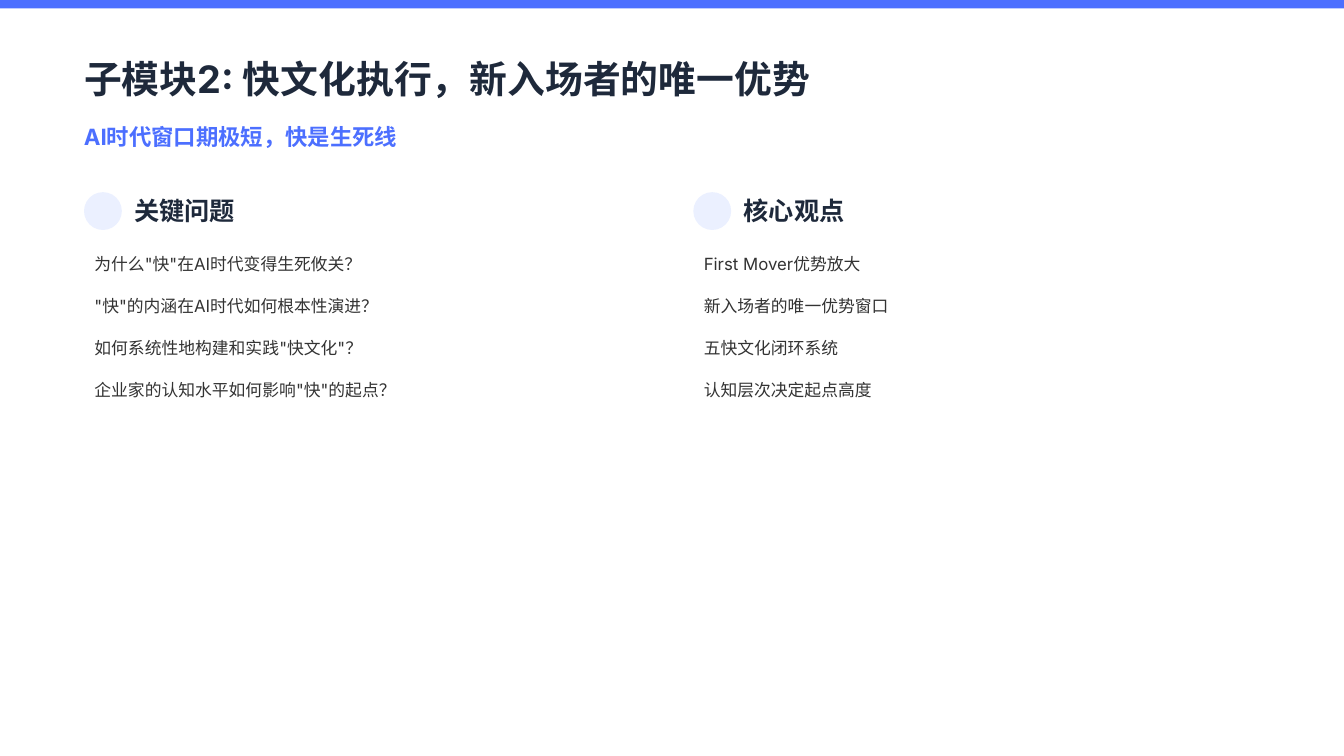
from pptx import Presentation
from pptx.dml.color import RGBColor
from pptx.enum.shapes import MSO_SHAPE as Kind
from pptx.enum.text import MSO_ANCHOR as Anchor, MSO_AUTO_SIZE as Fit, PP_ALIGN as Align
from pptx.util import Pt

NAVY, BLUE, PALE, GRAY = "1E293B", "4C6FFF", "EBF0FF", "333333"


def paint(fill, tint):
    fill.solid()
    fill.fore_color.rgb = RGBColor.from_string(tint)


def write(box, area, text, size, tint, bold=False):
    """Place a text shape at area and fill it with one formatted run."""
    box.left, box.top, box.width, box.height = map(Pt, area)
    frame = box.text_frame
    frame.word_wrap = True
    frame.auto_size = Fit.NONE
    frame.vertical_anchor = Anchor.MIDDLE
    frame.margin_left = frame.margin_right = 0
    frame.margin_top = frame.margin_bottom = 0
    para = frame.paragraphs[0]
    para.alignment = Align.LEFT
    run = para.add_run()
    run.text = text
    run.font.name = "Inter"
    run.font.size = Pt(size)
    run.font.bold = bold
    paint(run.font.fill, tint)


deck = Presentation()
deck.slide_width, deck.slide_height = Pt(960), Pt(540)
slide = deck.slides.add_slide(deck.slide_layouts[5])
shapes = slide.shapes
paint(slide.background.fill, "FFFFFF")

# Title and subtitle
write(shapes.title, (60, 39.75, 539.5, 33), "子模块2: 快文化执行，新入场者的唯一优势", 27, NAVY, True)
write(shapes.add_textbox(0, 0, 0, 0), (60, 87.75, 244, 19.5),
      "AI时代窗口期极短，快是生死线", 16, BLUE, True)

# Two columns: left edge, heading, items with their widths
columns = [
    (60, "关键问题", [
        ('为什么"快"在AI时代变得生死攸关？', 200),
        ('"快"的内涵在AI时代如何根本性演进？', 212.5),
        ('如何系统性地构建和实践"快文化"？', 200),
        ('企业家的认知水平如何影响"快"的起点？', 224.5)]),
    (495.25, "核心观点", [
        ("First Mover优势放大", 121.5),
        ("新入场者的唯一优势窗口", 142),
        ("五快文化闭环系统", 106),
        ("认知层次决定起点高度", 129.5)]),
]

# Top bar and heading dots
marks = [(Kind.RECTANGLE, (0, 0, 960, 6), BLUE)]
marks += [(Kind.OVAL, (left, 137.25, 27, 27), PALE) for left, _, _ in columns]
for kind, area, tint in marks:
    mark = shapes.add_shape(kind, *map(Pt, area))
    mark.shadow.inherit = False
    mark.line.fill.background()
    paint(mark.fill, tint)

for left, head, items in columns:
    write(shapes.add_textbox(0, 0, 0, 0), (left + 36, 139.5, 86, 21.75),
          head, 18, NAVY, True)
    for row, (text, width) in enumerate(items):
        write(shapes.add_textbox(0, 0, 0, 0),
              (left + 7.5, 179.25 + 30 * row, width, 18), text, 12, GRAY)

deck.save("out.pptx")
